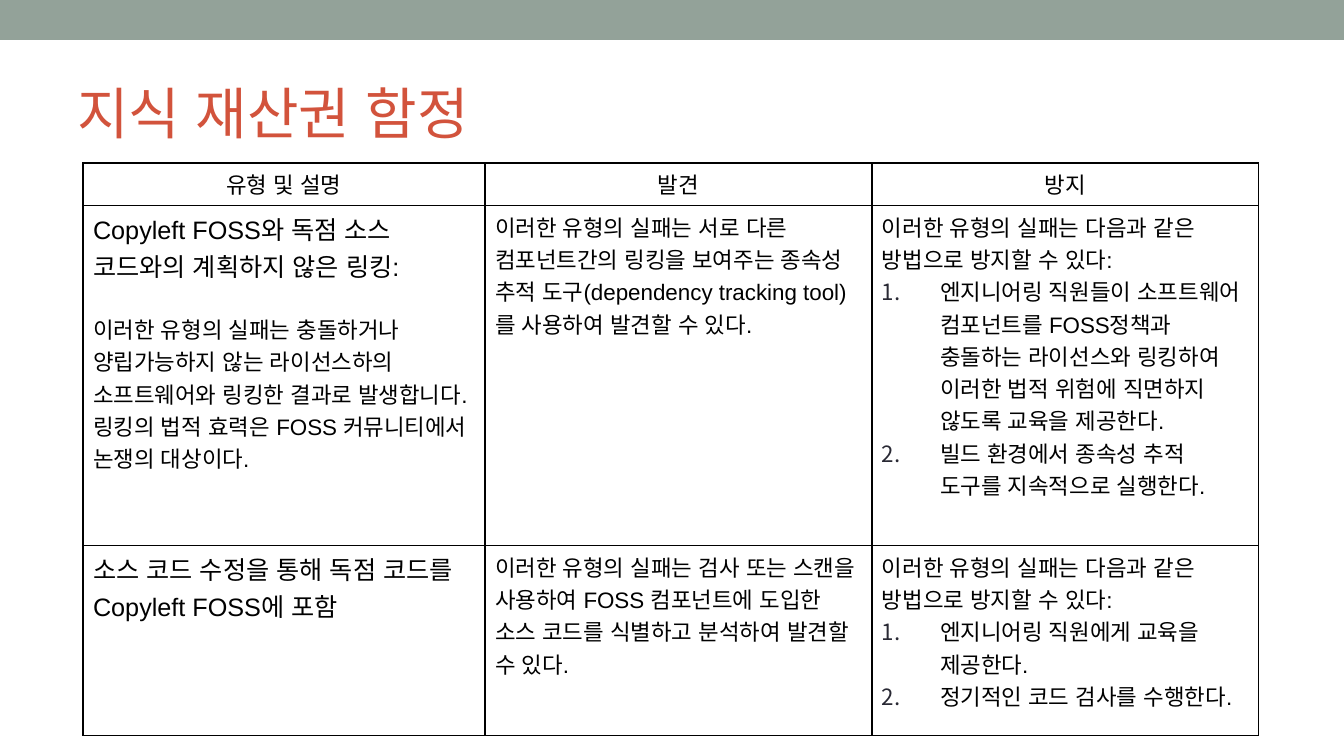
from dataclasses import dataclass

from lxml import etree
from pptx import Presentation
from pptx.dml.color import RGBColor
from pptx.enum.lang import MSO_LANGUAGE_ID
from pptx.enum.shapes import MSO_SHAPE
from pptx.enum.text import MSO_ANCHOR, PP_ALIGN
from pptx.oxml.ns import qn
from pptx.slide import Slide
from pptx.table import _Cell
from pptx.text.text import _Paragraph
from pptx.util import Emu, Pt

KOREAN = MSO_LANGUAGE_ID.KOREAN
RECTANGLE = MSO_SHAPE.RECTANGLE
MIDDLE = MSO_ANCHOR.MIDDLE
LEFT, CENTER = PP_ALIGN.LEFT, PP_ALIGN.CENTER

EMU_PER_PX = 914400 / 100.8
SLIDE_WIDTH, SLIDE_HEIGHT = 1344, 756
COLUMN_WIDTHS = (402, 387, 387)
ROW_HEIGHTS = (42, 340, 190)
NUMBER_INDENT = 58
BORDER_WIDTH = Pt(1)

SAGE = RGBColor(0x93, 0xA2, 0x99)
RED = RGBColor(0xD2, 0x53, 0x3C)
BLACK = RGBColor(0x00, 0x00, 0x00)
SLATE = RGBColor(0x29, 0x29, 0x34)
TITLE_FONT, BODY_FONT = "Roboto", "Arial"


@dataclass(frozen=True)
class Entry:
    """One paragraph of a table cell; sizes and gaps are in points."""
    text: str
    size: int = 16
    align: PP_ALIGN = LEFT
    numbered: bool = False
    gap_before: int = 0


def header(text: str) -> Entry:
    return Entry(text, align=CENTER)


def step(text: str) -> Entry:
    return Entry(text, numbered=True)


PREVENTION_LEAD = Entry("이러한 유형의 실패는 다음과 같은 방법으로 방지할 수 있다:")

PITFALLS: list[list[list[Entry]]] = [
    [[header("유형 및 설명")], [header("발견")], [header("방지")]],
    [
        [
            Entry("Copyleft FOSS와 독점 소스 코드와의 계획하지 않은 링킹:", size=18),
            Entry("이러한 유형의 실패는 충돌하거나 양립가능하지 않는 라이선스하의 "
                  "소프트웨어와 링킹한 결과로 발생합니다. 링킹의 법적 효력은 "
                  "FOSS 커뮤니티에서 논쟁의 대상이다.", gap_before=21),
        ],
        [Entry("이러한 유형의 실패는 서로 다른 컴포넌트간의 링킹을 보여주는 종속성 "
               "추적 도구(dependency tracking tool)를 사용하여 발견할 수 있다.")],
        [
            PREVENTION_LEAD,
            step("엔지니어링 직원들이 소프트웨어 컴포넌트를 FOSS정책과 충돌하는 "
                 "라이선스와 링킹하여 이러한 법적 위험에 직면하지 않도록 교육을 제공한다."),
            step("빌드 환경에서 종속성 추적 도구를 지속적으로 실행한다."),
        ],
    ],
    [
        [Entry("소스 코드 수정을 통해 독점 코드를 Copyleft FOSS에 포함", size=18)],
        [Entry("이러한 유형의 실패는 검사 또는 스캔을 사용하여 FOSS 컴포넌트에 도입한 "
               "소스 코드를 식별하고 분석하여 발견할 수 있다.")],
        [
            PREVENTION_LEAD,
            step("엔지니어링 직원에게 교육을 제공한다."),
            step("정기적인 코드 검사를 수행한다."),
        ],
    ],
]


def px(length: int) -> Emu:
    return Emu(round(length * EMU_PER_PX))


def format_runs(paragraph: _Paragraph, font_name: str, size: int, color: RGBColor) -> None:
    for run in paragraph.runs:
        run.font.name = font_name
        run.font.size = Pt(size)
        run.font.bold = False
        run.font.color.rgb = color
        run.font.language_id = KOREAN


def add_number(paragraph: _Paragraph) -> None:
    """Give the paragraph an automatic number with a hanging indent."""
    properties = paragraph._p.get_or_add_pPr()
    properties.set("marL", str(px(NUMBER_INDENT)))
    properties.set("indent", str(-px(NUMBER_INDENT)))
    number_color = etree.SubElement(properties, qn("a:buClr"))
    etree.SubElement(number_color, qn("a:srgbClr"), val=str(SLATE))
    etree.SubElement(properties, qn("a:buFont"), typeface=TITLE_FONT)
    etree.SubElement(properties, qn("a:buAutoNum"), type="arabicPeriod")


def add_borders(cell: _Cell) -> None:
    properties = cell._tc.get_or_add_tcPr()
    for side in ("a:lnL", "a:lnR", "a:lnT", "a:lnB"):
        border = etree.SubElement(properties, qn(side), w=str(BORDER_WIDTH))
        fill = etree.SubElement(border, qn("a:solidFill"))
        etree.SubElement(fill, qn("a:srgbClr"), val=str(BLACK))


def fill_cell(cell: _Cell, entries: list[Entry]) -> None:
    add_borders(cell)
    cell.fill.background()
    cell.text_frame.text = "\n".join(entry.text for entry in entries)
    for paragraph, entry in zip(cell.text_frame.paragraphs, entries):
        if entry.numbered:
            add_number(paragraph)
        paragraph.alignment = entry.align
        if entry.gap_before:
            paragraph.space_before = Pt(entry.gap_before)
        format_runs(paragraph, BODY_FONT, entry.size, BLACK)


def add_top_band(slide: Slide) -> None:
    band = slide.shapes.add_shape(RECTANGLE, 0, 0, px(SLIDE_WIDTH), px(40))
    band.shadow.inherit = False
    band.fill.solid()
    band.fill.fore_color.rgb = SAGE
    band.line.fill.background()


def set_title(slide: Slide, text: str) -> None:
    title = slide.shapes.title
    title.left, title.top, title.width, title.height = px(67), px(58), px(1210), px(109)
    title.text_frame.text = text
    title.text_frame.vertical_anchor = MIDDLE
    paragraph = title.text_frame.paragraphs[0]
    paragraph.alignment = LEFT
    format_runs(paragraph, TITLE_FONT, 40, RED)


def add_pitfall_table(slide: Slide) -> None:
    table = slide.shapes.add_table(
        len(ROW_HEIGHTS), len(COLUMN_WIDTHS), px(83), px(163),
        px(sum(COLUMN_WIDTHS)), px(sum(ROW_HEIGHTS))).table
    table.first_row = False
    table.horz_banding = False
    for column, width in zip(table.columns, COLUMN_WIDTHS):
        column.width = px(width)
    for row, height, cells in zip(table.rows, ROW_HEIGHTS, PITFALLS):
        row.height = px(height)
        for cell, entries in zip(row.cells, cells):
            fill_cell(cell, entries)


def main() -> None:
    deck = Presentation()
    deck.slide_width, deck.slide_height = px(SLIDE_WIDTH), px(SLIDE_HEIGHT)
    slide = deck.slides.add_slide(deck.slide_layouts.get_by_name("Title Only"))
    add_top_band(slide)
    set_title(slide, "지식 재산권 함정")
    add_pitfall_table(slide)
    deck.save("out.pptx")


if __name__ == "__main__":
    main()
